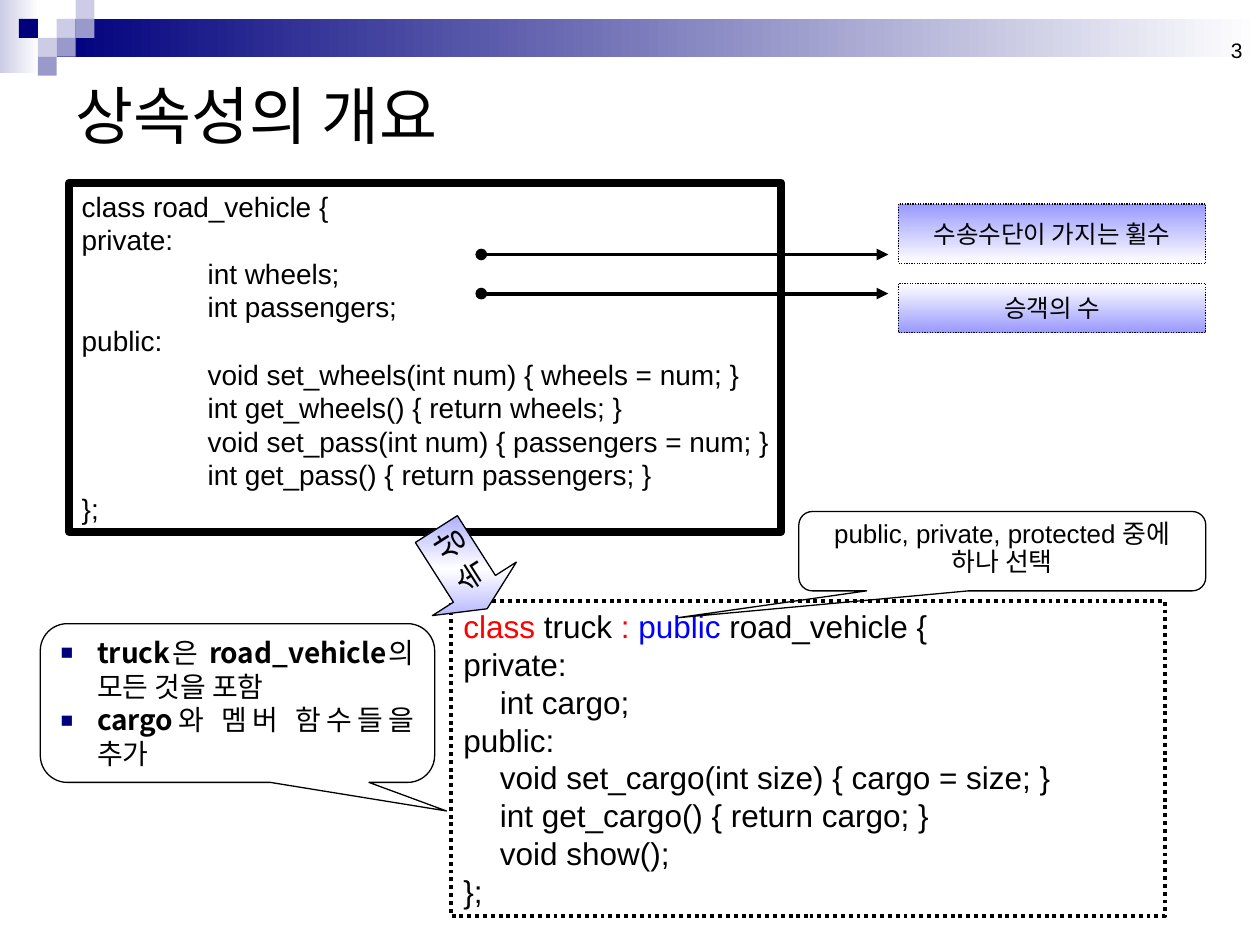
from lxml import etree
from pptx import Presentation
from pptx import util as u
from pptx.dml.color import RGBColor
from pptx.enum import dml, shapes, text
from pptx.oxml import parse_xml
from pptx.oxml.ns import nsdecls, qn

LATIN, KOREAN = "Arial", "Noto Sans CJK KR"
BLACK, NAVY, PALE, MID = "000000", "00007D", "CCCCE6", "9999CC"
LILAC, WHITE, RED, BLUE = "9999FF", "FFFFFF", "FF0000", "0000FF"
KIND, ALIGN, ANCHOR = shapes.MSO_SHAPE, text.PP_ALIGN, text.MSO_ANCHOR


def color(value):
    return RGBColor.from_string(value)


class SlideBuilder:
    def __init__(self, slide):
        self.slide = slide

    def outline(self, line, width, dotted=False):
        line.color.rgb = color(BLACK)
        line.width = u.Pt(width)
        if dotted:
            line.dash_style = dml.MSO_LINE.ROUND_DOT

    def gradient(self, shape, stops, angle):
        shape.fill.background()
        marks = "".join(
            f'<a:gs pos="{place * 1000}"><a:srgbClr val="{value}"/></a:gs>'
            for place, value in stops)
        fill = parse_xml(
            f'<a:gradFill {nsdecls("a")} rotWithShape="1"><a:gsLst>{marks}</a:gsLst>'
            f'<a:lin ang="{angle * 60000}" scaled="0"/></a:gradFill>')
        properties = shape._element.spPr
        properties.replace(properties.find(qn("a:noFill")), fill)

    def shape(self, kind, area, fill=None, angle=0, line=0, dotted=False, adjust=()):
        shape = self.slide.shapes.add_shape(kind, *map(u.Inches, area))
        shape.shadow.inherit = False
        for index, value in enumerate(adjust):
            shape.adjustments[index] = value
        if line:
            self.outline(shape.line, line, dotted)
        else:
            shape.line.fill.background()
        if fill is None:
            shape.fill.background()
        elif isinstance(fill, str):
            shape.fill.solid()
            shape.fill.fore_color.rgb = color(fill)
        else:
            self.gradient(shape, fill, angle)
        return shape

    def add_text(self, shape, lines, size, font=LATIN, align=ALIGN.LEFT, wrap=True,
                 anchor=ANCHOR.MIDDLE, tab=None, bullet=False, spacing=None):
        """Each line is a string or a list of (text, colour, bold) runs."""
        frame = shape.text_frame
        frame.word_wrap = wrap
        frame.vertical_anchor = anchor
        for index, line in enumerate(lines):
            para = frame.add_paragraph() if index else frame.paragraphs[0]
            if bullet:
                self.bullet(para)
            if tab:
                tabs = etree.SubElement(para._p.get_or_add_pPr(), qn("a:tabLst"))
                etree.SubElement(tabs, qn("a:tab"), pos=str(u.Inches(tab)), algn="l")
            para.alignment = align
            if spacing:
                para.line_spacing = spacing
            runs = [(line, BLACK, False)] if isinstance(line, str) else line
            for words, value, bold in runs:
                span = para.add_run()
                span.text = words
                span.font.size = u.Pt(size)
                span.font.name = font
                span.font.bold = bold
                span.font.color.rgb = color(value)
                etree.SubElement(span._r.rPr, qn("a:ea"), typeface=KOREAN)

    def bullet(self, para):
        indent = u.Inches(0.29)
        properties = para._p.get_or_add_pPr()
        properties.set("marL", str(indent))
        properties.set("indent", str(-indent))
        tint = etree.SubElement(properties, qn("a:buClr"))
        etree.SubElement(tint, qn("a:srgbClr"), val=NAVY)
        etree.SubElement(properties, qn("a:buSzPct"), val="75000")
        etree.SubElement(properties, qn("a:buFont"), typeface=LATIN)
        etree.SubElement(properties, qn("a:buChar"), char="■")

    def title(self, words, area):
        title = self.slide.shapes.title
        title.left, title.top, title.width, title.height = map(u.Inches, area)
        self.add_text(title, [words], 36, KOREAN)

    def label(self, words, area, size, align, anchor):
        box = self.slide.shapes.add_textbox(*map(u.Inches, area))
        self.add_text(box, [words], size, align=align, anchor=anchor)

    def arrow(self, left, right, y):
        arrow = self.slide.shapes.add_connector(
            shapes.MSO_CONNECTOR.STRAIGHT, *map(u.Inches, (left, y, right, y)))
        self.outline(arrow.line, 2.25)
        line = arrow.line._get_or_add_ln()
        etree.SubElement(line, qn("a:headEnd"), type="oval")
        etree.SubElement(line, qn("a:tailEnd"), type="triangle")
        etree.SubElement(arrow._element.spPr, qn("a:effectLst"))


def main():
    deck = Presentation()
    deck.slide_width, deck.slide_height = u.Inches(10), u.Inches(7.5)
    page = SlideBuilder(deck.slides.add_slide(deck.slide_layouts[5]))

    # Header band and its mosaic of squares
    page.shape(KIND.RECTANGLE, (0, 0, 0.31, 0.58), [(0, PALE), (100, WHITE)])
    page.shape(KIND.RECTANGLE, (0.45, 0.15, 9.55, 0.3), [(0, NAVY), (100, WHITE)])
    side = 0.15
    squares = [(3, 1, PALE), (4, 0, PALE), (4, 1, MID), (2, 2, PALE),
               (1, 1, NAVY), (3, 2, MID), (2, 3, MID)]
    for column, row, fill in squares:
        page.shape(KIND.RECTANGLE, (column * side, row * side, side, side), fill)

    # Page number and title
    page.label("3", (7.63, 0.05, 2.33, 0.5), 12, ALIGN.RIGHT, ANCHOR.BOTTOM)
    page.title("상속성의 개요", (0.5, 0.5, 9, 0.81))

    # Base class
    base = page.shape(KIND.RECTANGLE, (0.55, 1.45, 5.65, 2.77), line=4.5)
    page.add_text(base, [
        "class road_vehicle {",
        "private:",
        "\tint wheels;",
        "\tint passengers;",
        "public:",
        "\tvoid set_wheels(int num) { wheels = num; }",
        "\tint get_wheels() { return wheels; }",
        "\tvoid set_pass(int num) { passengers = num; }",
        "\tint get_pass() { return passengers; }",
        "};",
    ], 16, wrap=False, tab=1)

    # Member notes with their arrows
    notes = [("수송수단이 가지는 휠수", 1.62, 0.47, LILAC, WHITE, 2.02),
             ("승객의 수", 2.25, 0.39, WHITE, LILAC, 2.33)]
    for words, top, height, first, last, arrow_y in notes:
        page.arrow(3.82, 7.05, arrow_y)
        note = page.shape(KIND.RECTANGLE, (7.13, top, 2.44, height),
                          [(0, first), (100, last)], 90, 0.75, True)
        page.add_text(note, [words], 14, KOREAN, ALIGN.CENTER)

    # Derived class
    derived = page.shape(KIND.RECTANGLE, (3.58, 4.77, 5.67, 2.5), line=2.25, dotted=True)
    page.add_text(derived, [
        [("class", RED, False), (" truck", BLACK, False), (" : ", RED, False),
         ("public", BLUE, False), (" road_vehicle {", BLACK, False)],
        "private:",
        "\tint cargo;",
        "public:",
        "\tvoid set_cargo(int size) { cargo = size; }",
        "\tint get_cargo() { return cargo; }",
        "\tvoid show();",
        "};",
    ], 18, tab=0.29)

    # Inheritance arrow
    inherit = page.shape(KIND.RIGHT_ARROW, (3.29, 4.12, 0.75, 0.79),
                         [(0, LILAC), (50, WHITE), (100, LILAC)], 32, 0.75,
                         adjust=(0.5, 0.25))
    inherit.rotation = 57.5
    page.add_text(inherit, ["상", "속"], 18, KOREAN, ALIGN.CENTER, wrap=False)
    frame = inherit.text_frame
    frame.margin_left = frame.margin_right = u.Inches(0.05)
    frame.margin_top = frame.margin_bottom = u.Inches(0.1)
    body = frame._txBody.bodyPr
    body.set("vert", "eaVert")
    body.set("rot", str(180 * 60000))

    # Callouts
    summary = page.shape(KIND.ROUNDED_RECTANGULAR_CALLOUT, (0.32, 4.95, 3.13, 1.26),
                         line=0.75, adjust=(0.53, 0.68, 0.17))
    page.add_text(summary, [
        [("truck", BLACK, True), ("은 ", BLACK, False),
         ("road_vehicle", BLACK, True), ("의 모든 것을 포함", BLACK, False)],
        [("cargo", BLACK, True), ("와 멤버 함수들을 추가", BLACK, False)],
    ], 16, KOREAN, ALIGN.JUSTIFY, bullet=True)
    access = page.shape(KIND.ROUNDED_RECTANGULAR_CALLOUT, (6.34, 4.06, 3.23, 0.63),
                        line=0.75, adjust=(-0.8, 0.84, 0.17))
    page.add_text(access, ["public, private, protected 중에 하나 선택"], 14.8,
                  align=ALIGN.CENTER, anchor=ANCHOR.TOP, spacing=0.9)

    deck.save("out.pptx")


if __name__ == "__main__":
    main()
